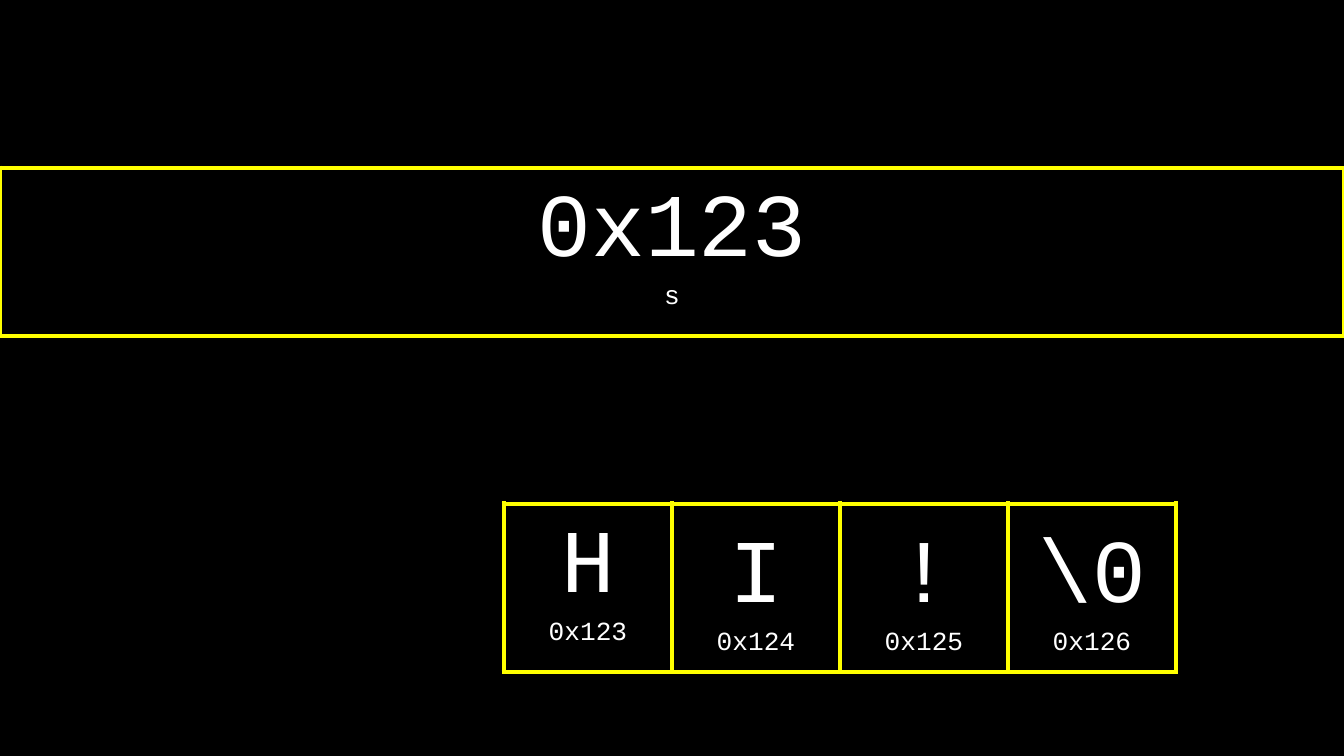
from lxml import etree
from pptx import Presentation
from pptx.dml.color import RGBColor
from pptx.enum.text import MSO_ANCHOR, PP_ALIGN
from pptx.oxml.ns import qn
from pptx.util import Inches, Pt

CENTER = PP_ALIGN.CENTER
TOP, BOTTOM = MSO_ANCHOR.TOP, MSO_ANCHOR.BOTTOM
ROWS, COLS = 5, 8
FONT, WHITE, YELLOW = "Courier New", "FFFFFF", "FFFF00"
SIDES = {"L": (0, -1), "R": (0, 1), "T": (-1, 0), "B": (1, 0)}


def rgb(value):
    return RGBColor.from_string(value)


def add_border(cell, side, color):
    ln = etree.SubElement(cell._tc.get_or_add_tcPr(), qn("a:ln" + side), w=str(Pt(3)))
    if color:
        fill = etree.SubElement(ln, qn("a:solidFill"))
        etree.SubElement(fill, qn("a:srgbClr"), val=color)
    else:
        etree.SubElement(ln, qn("a:noFill"))


prs = Presentation()
prs.slide_width = Inches(10)
prs.slide_height = prs.slide_width * 9 // 16
s = prs.slides.add_slide(prs.slide_layouts[6])
s.background.fill.solid()
s.background.fill.fore_color.rgb = rgb("000000")

unit = prs.slide_width // COLS
table = s.shapes.add_table(ROWS, COLS, 0, 0, unit * COLS, unit * ROWS).table
table.first_row = table.horz_banding = False
for line in [*table.rows]:
    line.height = unit
for col in [*table.columns]:
    col.width = unit
table.cell(1, 0).merge(table.cell(1, COLS - 1))

memory = {
    (1, 0): ("0x123", "s", TOP),
    (3, 3): ("H", "0x123", TOP),
    (3, 4): ("I", "0x124", BOTTOM),
    (3, 5): ("!", "0x125", BOTTOM),
    (3, 6): ("\\0", "0x126", BOTTOM),
}
boxed = {(1, c) for c in range(COLS)} | set(memory)

for r in range(ROWS):
    for c in range(COLS):
        cell = table.cell(r, c)
        for side, (dr, dc) in SIDES.items():
            on_box = (r, c) in boxed or (r + dr, c + dc) in boxed
            add_border(cell, side, YELLOW if on_box else None)
        cell.fill.background()

for (r, c), (value, label, anchor) in memory.items():
    cell = table.cell(r, c)
    cell.vertical_anchor = anchor
    cell.margin_left = cell.margin_right = Inches(0.1)
    cell.margin_top = cell.margin_bottom = Inches(0.1)
    tf = cell.text_frame
    tf.text = f"{value}\n{label}"
    for p, size in zip(tf.paragraphs, (48, 14)):
        p.alignment = CENTER
        p.font.name = FONT
        p.font.size = Pt(size)
        p.font.color.rgb = rgb(WHITE)

prs.save("out.pptx")
